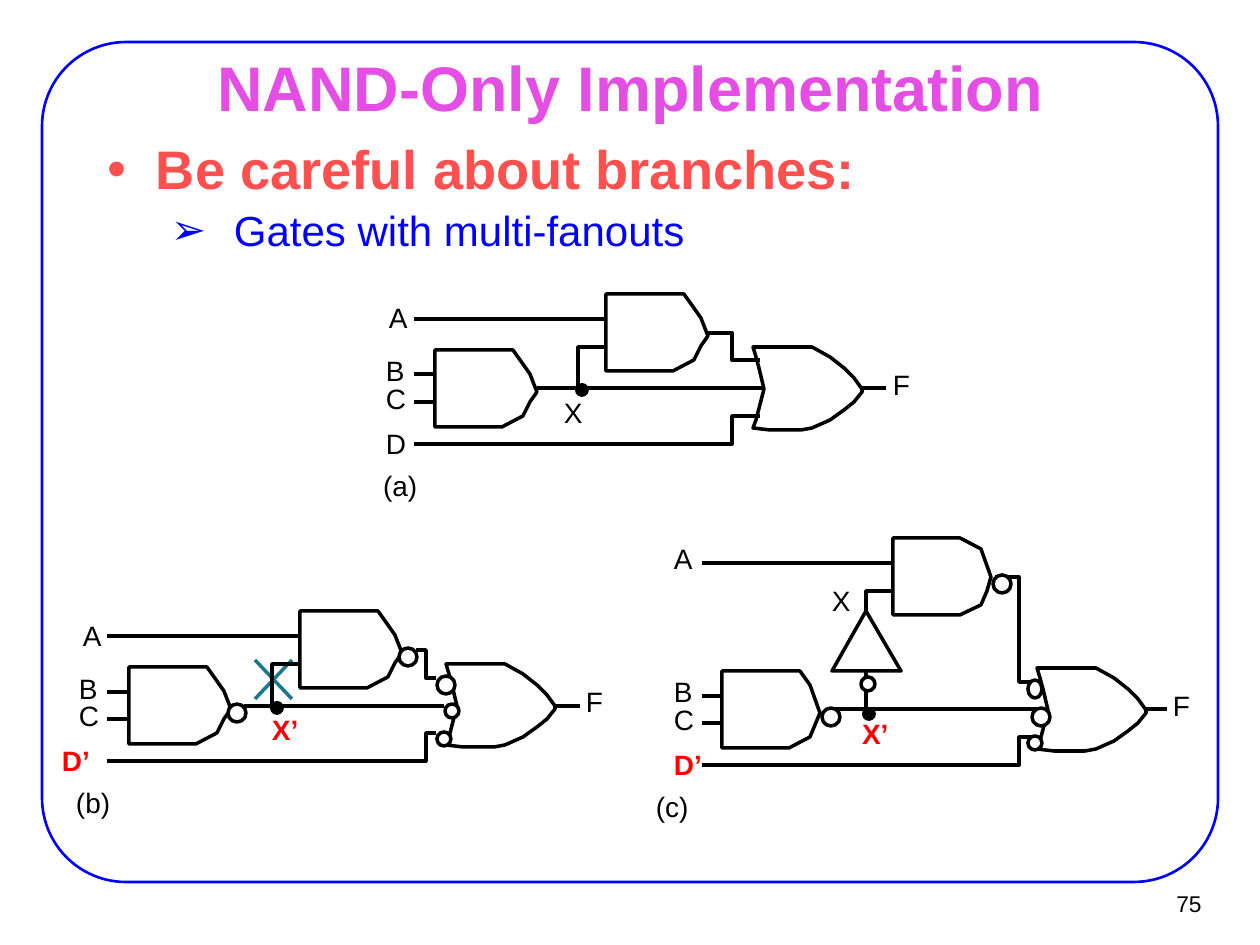
"""Build the slide on NAND-only implementation with three gate circuits."""
from lxml.etree import SubElement
from pptx import Presentation
from pptx.dml.color import RGBColor
from pptx.enum.shapes import MSO_CONNECTOR, MSO_SHAPE
from pptx.enum.text import MSO_ANCHOR, MSO_AUTO_SIZE, PP_ALIGN
from pptx.oxml.ns import qn
from pptx.util import Emu, Pt

PX = 914400 / 126
BLACK, WHITE, RED, BLUE, TEAL = "000000", "FFFFFF", "FF0000", "0000FF", "19788F"


def px(*lengths):
    return [Emu(round(length * PX)) for length in lengths]


def color(value):
    return RGBColor.from_string(value)


deck = Presentation()
deck.slide_width, deck.slide_height = px(1260, 945)
page = deck.slides.add_slide(deck.slide_layouts[5])
shapes = page.shapes

frame = shapes.add_shape(MSO_SHAPE.ROUNDED_RECTANGLE, *px(42, 42, 1176, 840))
frame.adjustments[0] = 0.1
frame.shadow.inherit = False
frame.fill.background()
frame.line.color.rgb = color(BLUE)
frame.line.width = Pt(1.5)

title = shapes.title
title.left, title.top, title.width, title.height = px(95, 55, 1071, 62)
title.text_frame.vertical_anchor = MSO_ANCHOR.MIDDLE
title.text_frame.auto_size = MSO_AUTO_SIZE.NONE
para = title.text_frame.paragraphs[0]
para.alignment = PP_ALIGN.CENTER
span = para.add_run()
span.text = "NAND-Only Implementation"
span.font.name, span.font.size, span.font.bold = "Arial", Pt(36), True
span.font.color.rgb = color("E44EE4")

body = shapes.add_textbox(*px(94, 136, 804, 149)).text_frame
body.word_wrap = True
body.margin_left, body.margin_right, body.margin_top, body.margin_bottom = px(14, 14, 7, 7)
bullets = [
    ("Be careful about branches:", "•", 48, 48, 31, "FF5050", True, 0),
    ("Gates with multi-fanouts", "➢", 126, 63, 24, BLUE, False, 5),
]
for level, (text, mark, margin, hang, size, ink, bold, before) in enumerate(bullets):
    para = body.add_paragraph() if level else body.paragraphs[0]
    para.level = level
    para.line_spacing = 0.9
    para.space_before = Pt(before)
    properties = para._p.get_or_add_pPr()
    properties.set("marL", str(px(margin)[0]))
    properties.set("indent", str(-px(hang)[0]))
    SubElement(properties, qn("a:buFont")).set("typeface", "Arial")
    SubElement(properties, qn("a:buChar")).set("char", mark)
    span = para.add_run()
    span.text = text
    span.font.name, span.font.size, span.font.bold = "Arial", Pt(size), bold
    span.font.color.rgb = color(ink)

and_gate = [(0, 0), (78, 0), (88, 14), (95, 24), (102, 42), (95, 52), (88, 66), (67, 77), (0, 77)]
and_gate_flat = [(0, 0), (78, 0), (88, 14), (98, 42), (88, 66), (67, 77), (0, 77)]
and_gate_cut = [(0, 0), (67, 0), (88, 11), (98, 39), (94, 53), (88, 67), (67, 77), (0, 77)]
or_gate = [(11, 42), (3, 73), (0, 81), (17, 83), (48, 83), (59, 81), (77, 73), (91, 63), (101, 55),
           (109, 45), (109, 42), (101, 31), (91, 21), (77, 10), (59, 0), (0, 0), (3, 10), (6, 21)]
inverter = [(832, 671), (901, 671), (866, 611)]

gates = [
    (and_gate, 435, 350), (and_gate, 606, 294), (or_gate, 753, 347),
    (and_gate, 129, 667), (and_gate, 300, 611), (or_gate, 446, 664),
    (and_gate_flat, 722, 671), (and_gate_cut, 893, 538), (or_gate, 1037, 668),
]
wires = [
    [(414, 319), (606, 319)],
    [(414, 374), (435, 374)],
    [(414, 402), (435, 402)],
    [(537, 388), (578, 388), (578, 347), (606, 347)],
    [(578, 388), (764, 388)],
    [(414, 444), (732, 444), (732, 416), (760, 416)],
    [(708, 333), (732, 333), (732, 360), (760, 360)],
    [(862, 388), (886, 388)],
    [(107, 636), (300, 636)],
    [(107, 692), (129, 692)],
    [(107, 719), (129, 719)],
    [(244, 706), (272, 706), (272, 664), (300, 664)],
    [(272, 706), (444, 706)],
    [(107, 761), (426, 761), (426, 733), (436, 733)],
    [(416, 650), (426, 650), (426, 678), (436, 678)],
    [(554, 706), (580, 706)],
    [(702, 563), (893, 563)],
    [(702, 696), (722, 696)],
    [(702, 723), (722, 723)],
    [(834, 709), (866, 709), (866, 591), (893, 591)],
    [(866, 709), (1037, 709)],
    [(702, 765), (1019, 765), (1019, 737), (1033, 737)],
    [(995, 577), (1019, 577), (1019, 682), (1033, 682)],
    [(1145, 709), (1167, 709)],
]
cross = [[(255, 660), (292, 699)], [(292, 660), (255, 699)]]

strokes = [(stroke, TEAL, False) for stroke in cross]
strokes += [([(x + left, y + top) for x, y in gate], BLACK, True) for gate, left, top in gates]
strokes += [(wire, BLACK, False) for wire in wires]
strokes.append((inverter, BLACK, True))
for points, ink, closed in strokes:
    if len(points) == 2:
        stroke = shapes.add_connector(MSO_CONNECTOR.STRAIGHT, *px(*points[0], *points[1]))
        SubElement(stroke._element.spPr, qn("a:effectLst"))
    else:
        builder = shapes.build_freeform(*points[0], scale=PX)
        builder.add_line_segments(points[1:], close=closed)
        stroke = builder.convert_to_shape()
        stroke.shadow.inherit = False
        if closed:
            stroke.fill.solid()
            stroke.fill.fore_color.rgb = color(WHITE)
        else:
            stroke.fill.background()
    stroke.line.color.rgb = color(ink)
    stroke.line.width = Pt(2)

bubbles = [
    (399, 648, 18, 18), (437, 676, 18, 18), (445, 704, 14, 14), (437, 732, 14, 14),
    (228, 704, 18, 18), (1028, 680, 14, 18), (1028, 736, 14, 14), (1032, 708, 18, 18),
    (822, 708, 18, 18), (993, 575, 18, 18), (861, 677, 14, 14),
]
dots = [(575, 383, 14, 14), (270, 701, 14, 14), (862, 707, 14, 14)]
for place in bubbles + dots:
    circle = shapes.add_shape(MSO_SHAPE.OVAL, *px(*place))
    circle.shadow.inherit = False
    circle.fill.solid()
    circle.fill.fore_color.rgb = color(BLACK if place in dots else WHITE)
    if place in dots:
        circle.line.fill.background()
    else:
        circle.line.color.rgb = color(BLACK)
        circle.line.width = Pt(2)

labels = [
    ("A", 389, 301, 26), ("B", 386, 354, 26), ("C", 386, 382, 28), ("D", 386, 427, 28),
    ("X", 564, 396, 26), ("F", 893, 368, 25), ("(a)", 383, 469, 43),
    ("A", 83, 619, 26), ("B", 79, 671, 26), ("C", 79, 699, 28), ("D’", 62, 744, 35),
    ("X’", 272, 713, 34), ("F", 586, 685, 25), ("(b)", 76, 786, 43),
    ("A", 674, 542, 26), ("B", 674, 675, 26), ("C", 674, 703, 28), ("D’", 674, 748, 35),
    ("X", 832, 583, 26), ("X’", 862, 717, 34), ("F", 1173, 689, 25), ("(c)", 656, 790, 40),
]
for text, left, top, width in labels:
    label = shapes.add_textbox(*px(left, top, width, 34)).text_frame
    label.margin_left = label.margin_right = label.margin_top = label.margin_bottom = 0
    label.word_wrap = False
    label.auto_size = MSO_AUTO_SIZE.SHAPE_TO_FIT_TEXT
    span = label.paragraphs[0].add_run()
    span.text = text
    span.font.name, span.font.size, span.font.bold = "Arial", Pt(16), "’" in text
    span.font.color.rgb = color(RED if "’" in text else BLACK)

number = shapes.add_textbox(*px(1137, 880, 77, 47)).text_frame
number.word_wrap = True
number.vertical_anchor = MSO_ANCHOR.MIDDLE
para = number.paragraphs[0]
para.alignment = PP_ALIGN.RIGHT
span = para.add_run()
span.text = "75"
span.font.name, span.font.size = "Arial", Pt(13)
span.font.color.rgb = color(BLACK)

deck.save("out.pptx")
